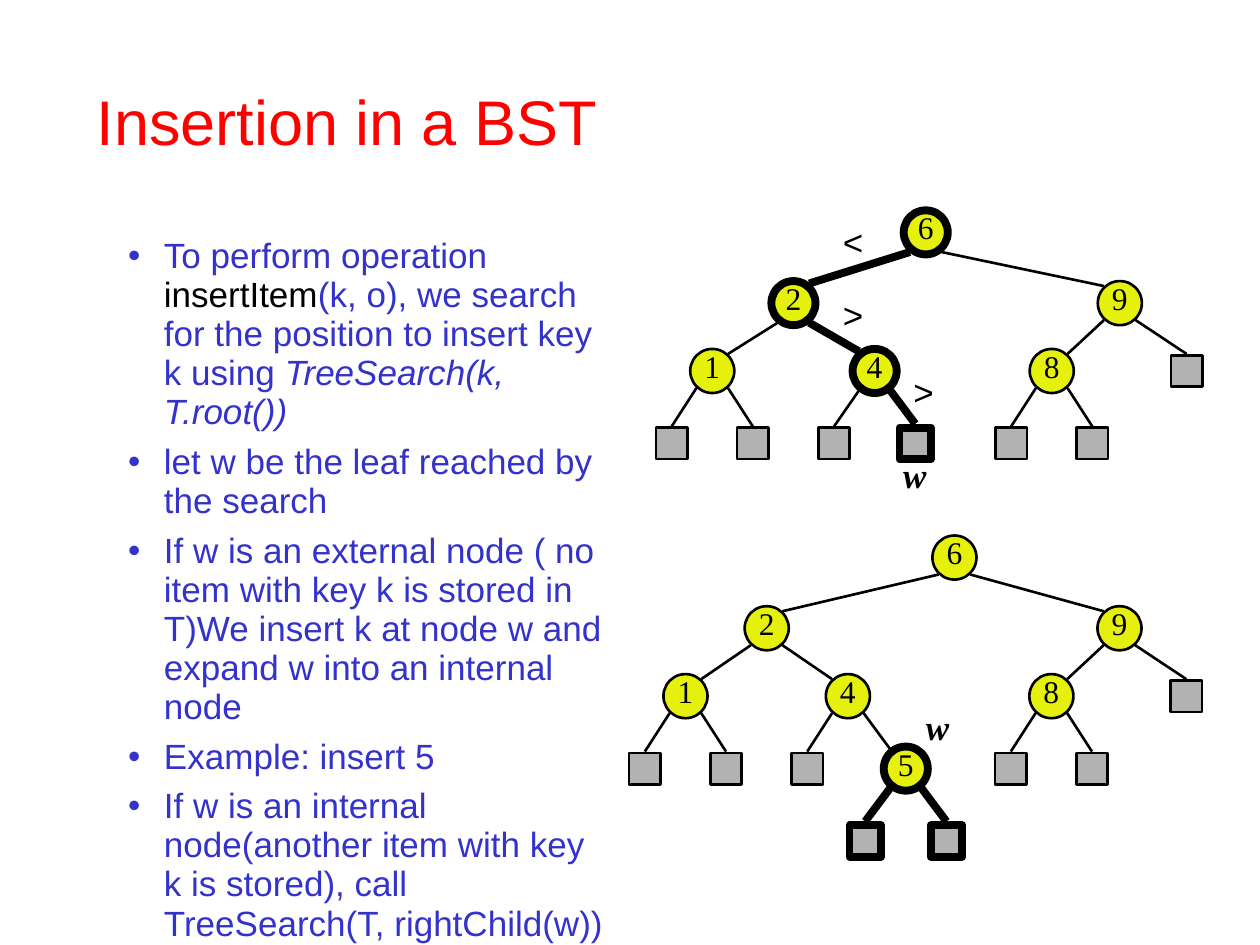
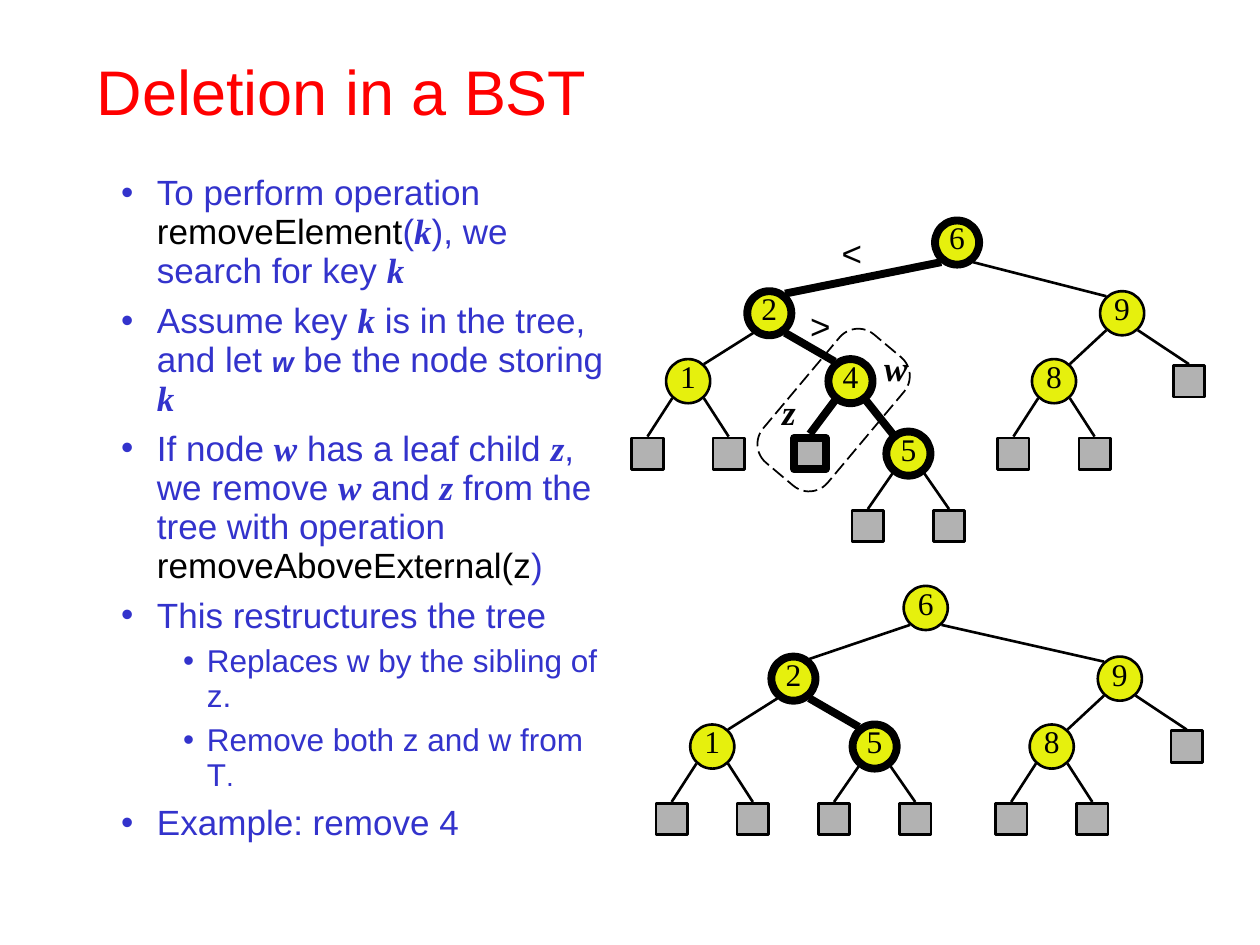
from dataclasses import dataclass
from lxml.etree import SubElement
from pptx import Presentation
from pptx.dml.color import RGBColor
from pptx.enum.dml import MSO_LINE
from pptx.enum.shapes import MSO_CONNECTOR, MSO_SHAPE
from pptx.enum.text import MSO_ANCHOR, MSO_AUTO_SIZE, PP_ALIGN
from pptx.oxml.ns import qn
from pptx.util import Pt

# Shared look
RED, BLUE, BLACK = "FF0000", "3333CC", "000000"
YELLOW, GREY = "E6F00D", "B2B2B2"
SANS, SERIF = "Arial", "Times New Roman"
THIN, THICK = 1.5, 4.5
CIRCLE, SQUARE = 25.2, 18
LEVELS = [0, 40.4, 79.2, 120.6, 162]  # centre of each depth below the root

TITLE = {"name": SANS, "size": Pt(36), "color": RED}
BODY = {"name": SANS, "size": Pt(20), "color": BLUE, "bold": False, "italic": False}
SUB = {"size": Pt(18)}
CODE = {"color": BLACK}
VAR = {"name": SERIF, "bold": True, "italic": True}
KEY = {"name": SERIF, "size": Pt(18), "color": BLACK}
SIGN = {"name": SANS, "size": Pt(20), "color": BLACK}
NAME = {**SIGN, **VAR}


def rgb(value):
    return RGBColor.from_string(value)


def set_all(obj, **values):
    for name, value in values.items():
        setattr(obj, name, value)


def add_run(p, text, style):
    r = p.add_run()
    r.text = text
    for name, value in style.items():
        if name == "color":
            r.font.color.rgb = rgb(value)
        else:
            setattr(r.font, name, value)


def place(shape, box):
    for name, value in zip(("left", "top", "width", "height"), box):
        setattr(shape, name, Pt(value))


# Title and bullet list
def add_title(s, box, text):
    title = s.shapes.title
    place(title, box)
    tf = title.text_frame
    set_all(tf, auto_size=MSO_AUTO_SIZE.NONE, vertical_anchor=MSO_ANCHOR.BOTTOM)
    p = tf.paragraphs[0]
    set_all(p, alignment=PP_ALIGN.LEFT, line_spacing=0.93)
    add_run(p, text, TITLE)


def add_list(s, box, items):
    """Each item is (level, parts); a part is a string or (string, style)."""
    body = s.placeholders[1]
    place(body, box)
    tf = body.text_frame
    set_all(tf, auto_size=MSO_AUTO_SIZE.NONE, vertical_anchor=MSO_ANCHOR.TOP)
    for i, (level, parts) in enumerate(items):
        p = tf.paragraphs[0] if i == 0 else tf.add_paragraph()
        set_all(p, level=level, line_spacing=0.93, space_before=Pt(5 if level else 6))
        left, hang = (49, 13.5) if level else (20.5, 20.5)
        pPr = p._p.get_or_add_pPr()
        pPr.set("marL", str(Pt(left)))
        pPr.set("indent", str(-Pt(hang)))
        SubElement(pPr, qn("a:buChar")).set("char", "•")
        base = {**BODY, **SUB} if level else BODY
        for part in parts:
            text, style = (part, {}) if isinstance(part, str) else part
            add_run(p, text, {**base, **style})


# Binary search trees
@dataclass
class Node:
    key: str  # empty for an external node
    dx: float  # from the parent's centre, or from the box for a root
    bold: bool = False
    children: tuple = ()


def leaf(dx, bold=False):
    return Node("", dx, bold)


def inner(key, dx, bold=False, bold_leaves=(False, False)):
    """Internal node with two external children."""
    left, right = bold_leaves
    return Node(key, dx, bold, (leaf(-23.2, left), leaf(23.2, right)))


def tree(spread, right_of_2, bold_root=False, bold_2=False):
    """The part all trees share; spread is (root, left and right child)."""
    root, left, right = spread
    two = Node("2", left, bold_2, (inner("1", -46.4), right_of_2))
    nine = Node("9", right, False, (inner("8", -38.9), leaf(38.2)))
    return Node("6", root, bold_root, (two, nine))


def draw_edge(s, start, end, bold):
    line = s.shapes.add_connector(MSO_CONNECTOR.STRAIGHT, *map(Pt, start + end))
    line.line.color.rgb = rgb(BLACK)
    line.line.width = Pt(THICK if bold else THIN)
    SubElement(line._element.spPr, qn("a:effectLst"))


def draw_node(s, node, x, y):
    kind, size, fill = ((MSO_SHAPE.OVAL, CIRCLE, YELLOW) if node.key
                        else (MSO_SHAPE.RECTANGLE, SQUARE, GREY))
    shape = s.shapes.add_shape(kind, Pt(x - size / 2), Pt(y - size / 2), Pt(size), Pt(size))
    shape.shadow.inherit = False
    shape.fill.solid()
    shape.fill.fore_color.rgb = rgb(fill)
    shape.line.color.rgb = rgb(BLACK)
    shape.line.width = Pt(THICK if node.bold else THIN)
    if node.key:
        tf = shape.text_frame
        set_all(tf, word_wrap=False, vertical_anchor=MSO_ANCHOR.MIDDLE, margin_left=0,
                margin_top=0, margin_right=0, margin_bottom=Pt(3.6))
        p = tf.paragraphs[0]
        set_all(p, alignment=PP_ALIGN.CENTER, line_spacing=0.93, space_before=Pt(5))
        add_run(p, node.key, KEY)


def reach(node):
    """Height above or below the centre at which edges meet a node."""
    return 11.2 if node.bold else 9.7


def draw_subtree(s, node, x, top, depth=0):
    y = top + LEVELS[depth]
    draw_node(s, node, x, y)
    for child in node.children:
        child_x, child_y = x + child.dx, top + LEVELS[depth + 1]
        side = 9 if child.dx > 0 else -9
        end_x = child_x - side if child.key else child_x
        draw_edge(s, (x + side, y + reach(node)), (end_x, child_y - reach(child)),
                  node.bold and child.bold)
        draw_subtree(s, child, child_x, top, depth + 1)


def draw_tree(s, box, root, labels=()):
    left, top = box
    draw_subtree(s, root, left + root.dx, top + CIRCLE / 2)
    for text, dx, dy, style in labels:
        label = s.shapes.add_textbox(Pt(left + dx), Pt(top + dy), Pt(26), Pt(31))
        tf = label.text_frame
        set_all(tf, word_wrap=False, auto_size=MSO_AUTO_SIZE.SHAPE_TO_FIT_TEXT)
        p = tf.paragraphs[0]
        set_all(p, line_spacing=0.93, space_before=Pt(5))
        add_run(p, text, style)


def draw_outline(s, box):
    """Dashed outline around the nodes to be removed."""
    left, top = box
    shape = s.shapes.add_shape(MSO_SHAPE.ROUNDED_RECTANGLE, Pt(left + 67), Pt(top + 84.2),
                               Pt(95.8), Pt(48.2))
    shape.shadow.inherit = False
    shape.adjustments[0] = 0.29
    shape.rotation = 310
    shape.fill.background()
    shape.line.color.rgb = rgb(BLACK)
    set_all(shape.line, width=Pt(1), dash_style=MSO_LINE.LONG_DASH)


NARROW = (169, -75.6, 110.9)
WIDE = (185.4, -107.3, 94.3)


def insertion_slide(s):
    add_title(s, (48, 29.5, 629, 65.5), "Insertion in a BST")
    add_list(s, (66, 132, 288, 366), [
        (0, ["To perform operation ", ("insertItem", CODE),
             "(k, o), we search for the position to insert key k using ",
             ("TreeSearch(k, T.root())", {"italic": True})]),
        (0, ["let w be the leaf reached by the search"]),
        (0, ["If w is an external node ( no item with key k is stored in T)"
             "We insert k at node w and expand w into an internal node"]),
        (0, ["Example: insert 5 "]),
        (0, ["If w is an internal node(another item with key k is stored), "
             "call TreeSearch(T, rightChild(w))"]),
    ])
    # Search path to w
    draw_tree(s, (360, 120.2), tree(NARROW, inner("4", 46.4, True, (False, True)), True, True),
              [("<", 114.5, 4.4, SIGN), (">", 114.5, 46.1, SIGN),
               (">", 154.8, 90, SIGN), ("w", 149, 137.6, NAME)])
    # After the insertion
    five = inner("5", 33.1, True, (True, True))
    draw_tree(s, (360, 306), tree(WIDE, Node("4", 46.4, False, (leaf(-23.2), five))),
              [("w", 162, 95.8, NAME)])


def deletion_slide(s):
    k, w, z = [(name, VAR) for name in "kwz"]
    add_title(s, (48, 29.5, 629, 48), "Deletion in a BST")
    add_list(s, (62, 96, 298, 402), [
        (0, ["To perform operation ", ("removeElement", CODE), "(", k,
             "), we search for key ", k]),
        (0, ["Assume key ", k, " is in the tree, and let ",
             ("w", {"size": Pt(16), "bold": True, "italic": True}),
             " be the node storing ", k]),
        (0, ["If node ", w, " has a leaf child ", z, ", we remove ", w, " and ", z,
             " from the tree with operation ", ("removeAboveExternal(z", CODE), ")"]),
        (0, ["This restructures the tree "]),
        (1, ["Replaces w by the sibling of z."]),
        (1, ["Remove both z and w from T", (".", {"size": Pt(16)})]),
        (0, ["Example: remove 4"]),
    ])
    # Nodes to be removed
    box = (361.5, 126)
    four = Node("4", 46.4, True, (leaf(-23.2, True), inner("5", 33.1, True)))
    draw_tree(s, box, tree(WIDE, four, True, True),
              [("<", 112.3, 5, SIGN), (">", 94.3, 46.8, SIGN),
               ("w", 136.7, 70.6, NAME), ("z", 78.4, 95.8, NAME)])
    draw_outline(s, box)
    # After the removal
    draw_tree(s, (360, 334.8), tree(NARROW, inner("5", 46.4, True), bold_2=True))


prs = Presentation()
prs.slide_width, prs.slide_height = Pt(720), Pt(540)
for build in (insertion_slide, deletion_slide):
    build(prs.slides.add_slide(prs.slide_layouts[1]))
prs.save("out.pptx")
